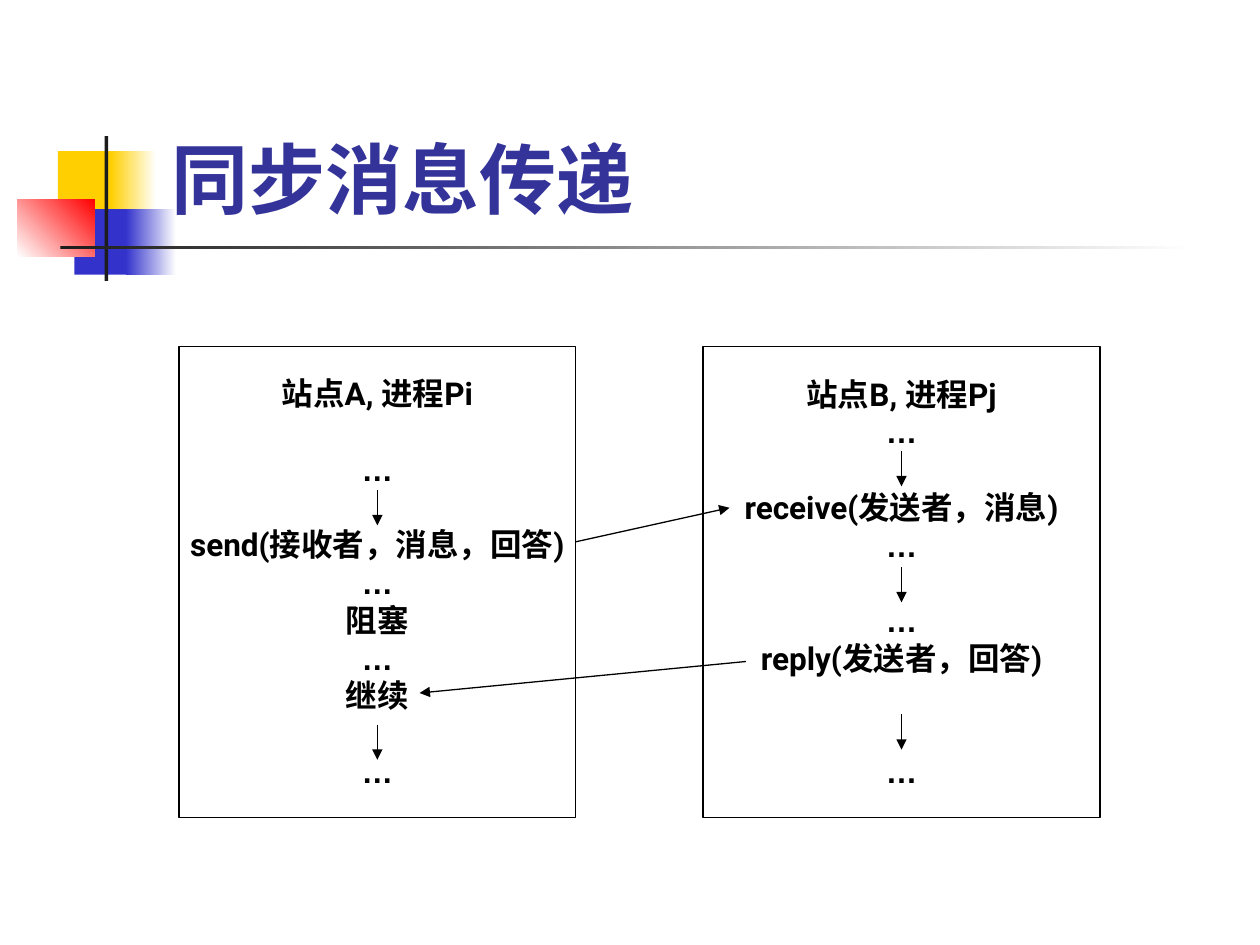
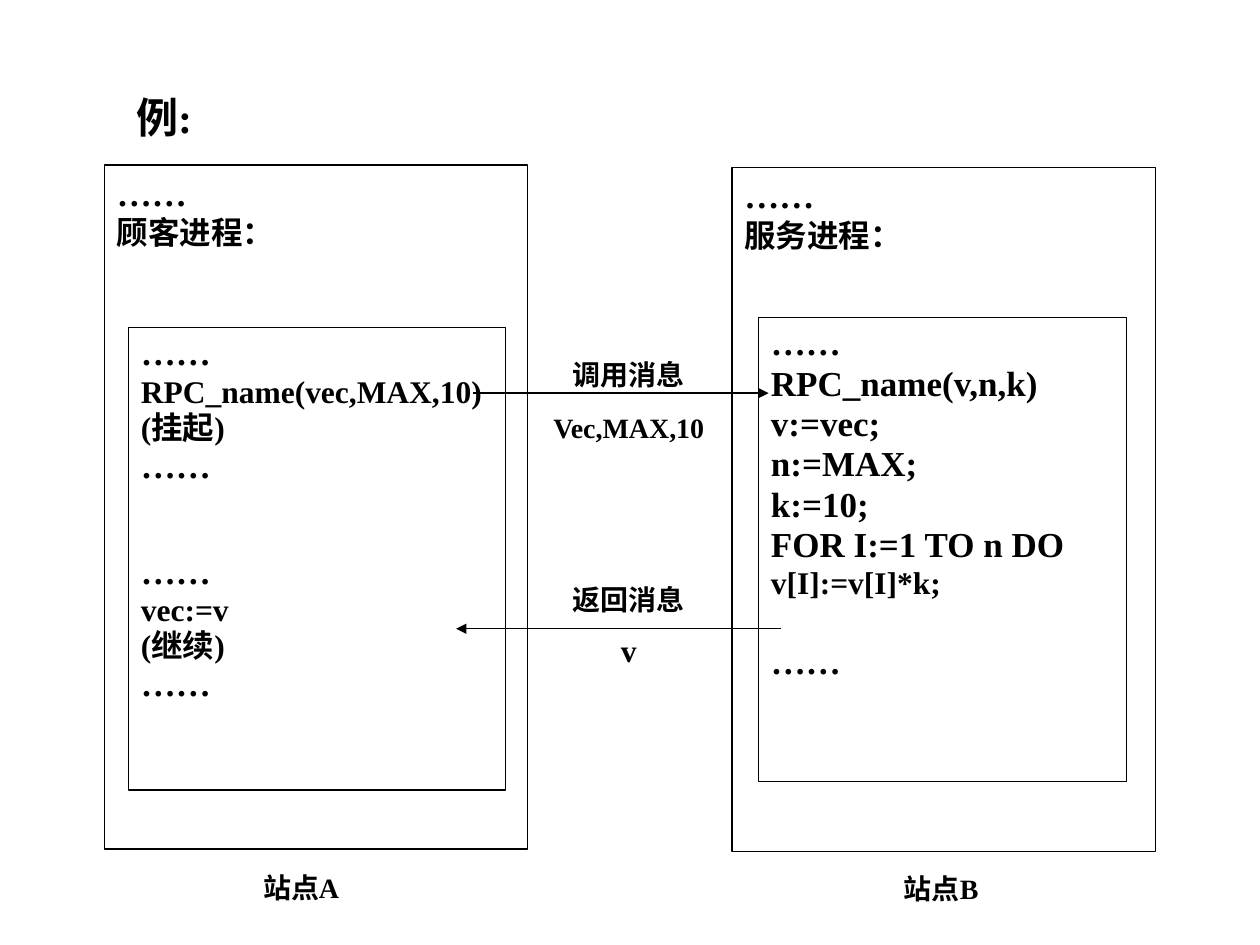
from dataclasses import dataclass

from lxml.etree import SubElement
from pptx import Presentation
from pptx.dml.color import RGBColor as Rgb
from pptx.enum.lang import MSO_LANGUAGE_ID as Lang
from pptx.enum.shapes import MSO_CONNECTOR as Line, MSO_SHAPE as Preset
from pptx.enum.text import MSO_ANCHOR as Anchor, MSO_AUTO_SIZE as AutoSize, PP_ALIGN as Align
from pptx.oxml.ns import qn
from pptx.util import Inches, Pt


@dataclass(frozen=True)
class Theme:
    ink: str = "000000"
    title: str = "333399"
    yellow: str = "FFCF01"
    blue: str = "3333CC"
    red: str = "FF0000"
    rule: str = "1C1C1C"
    white: str = "FFFFFF"
    sans: str = "Roboto"
    dots: str = "Arial"
    serif: str = "Times New Roman"
    title_size: int = 44
    heading_size: int = 24
    code_size: int = 20
    body_size: int = 18
    label_size: int = 16
    line: float = 0.75


T = Theme()
BODY, CODE = T.body_size, T.code_size
WIDTH, HEIGHT = 10, 7.5
GAP = 21.5          # one skipped line of body text, in points
BOX_INSETS = (0.1, 0.05)
LABEL_INSETS = (0.02, 0.01)

# ---- Content: slide 1, lines as (text, skipped lines before) ----
PASSING_TITLE = "同步消息传递"
PASSING_SITES = [
    [("站点A, 进程Pi", 0), ("…", 1), ("send(接收者，消息，回答)", 1), ("…", 0),
     ("阻塞", 0), ("…", 0), ("继续", 0), ("…", 1)],
    [("站点B, 进程Pj", 0), ("…", 0), ("receive(发送者，消息)", 1), ("…", 0),
     ("…", 1), ("reply(发送者，回答)", 0), ("…", 2)],
]
STEP_TOPS = [(3.89, 5.75), (3.58, 4.5, 5.67)]     # downward arrows per site
STEP_LENGTH = 0.28
PASSING_MESSAGES = [((4.57, 4.3), (5.79, 4.03)), ((5.92, 5.25), (3.33, 5.5))]

# Corner ornament: left, top, width, height, colours (two make a gradient), angle
ORNAMENT = [
    (0.46, 1.2, 0.48, 0.52, (T.yellow,), 0),
    (0.88, 1.2, 0.36, 0.52, (T.yellow, T.white), 0),
    (0.59, 1.66, 0.46, 0.52, (T.blue,), 0),
    (1, 1.66, 0.4, 0.52, (T.blue, T.white), 0),
    (0.14, 1.58, 0.61, 0.46, (T.white, T.red), 45),
    (0.83, 1.08, 0.03, 1.15, (T.rule,), 0),
    (0.48, 1.95, 9, 0.03, (T.rule, T.white), 0),
]

# ---- Content: slide 2, lines as (text, size, points before) ----
EXAMPLE_TITLE = "例:"
EXAMPLE_SITES = [
    dict(name="站点A", name_at=(1.77, 6.9), frame=(0.83, 1.31, 3.36, 5.43),
         process="顾客进程：", code_frame=(1.02, 2.6, 2.99, 3.67),
         code=[("……", CODE, 0), ("RPC_name(vec,MAX,10)", BODY, 0),
               ("(挂起)", BODY, 0), ("……", CODE, 0), ("……", CODE, 37),
               ("vec:=v", BODY, 0), ("(继续)", BODY, 0), ("……", CODE, 0)]),
    dict(name="站点B", name_at=(6.85, 6.91), frame=(5.81, 1.33, 3.36, 5.43),
         process="服务进程：", code_frame=(6.02, 2.52, 2.92, 3.68),
         code=[("……", CODE, 0), ("RPC_name(v,n,k)", CODE, 0), ("v:=vec;", CODE, 0),
               ("n:=MAX;", CODE, 0), ("k:=10;", CODE, 0),
               ("FOR I:=1 TO n DO", CODE, 0), ("v[I]:=v[I]*k;", BODY, 0),
               ("……", CODE, 23)]),
]
# Message labels: text, top, width, height, size
MESSAGE_CENTER = 4.99
MESSAGE_LABELS = [
    ("调用消息", 2.83, 1.24, 0.42, T.label_size),
    ("Vec,MAX,10", 3.25, 1.39, 0.42, T.label_size),
    ("返回消息", 4.61, 1.24, 0.48, T.label_size),
    ("v", 5, 1.24, 0.44, BODY),
]
EXAMPLE_MESSAGES = [((3.75, 3.12), (6.1, 3.12)), ((6.2, 4.99), (3.62, 4.99))]


# ---- Shared parts ----
def inches(values):
    return [Inches(value) for value in values]


def set_frame(shape, anchor=Anchor.TOP, insets=BOX_INSETS, wrap=True):
    frame = shape.text_frame
    frame.word_wrap, frame.vertical_anchor = wrap, anchor
    frame.auto_size = AutoSize.NONE
    frame.margin_left = frame.margin_right = Inches(insets[0])
    frame.margin_top = frame.margin_bottom = Inches(insets[1])
    return frame


def write(frame, lines, font, align, color=T.ink, spacing=None):
    """Fill a frame with (text, size, points before) lines."""
    for index, (text, size, before) in enumerate(lines):
        para = frame.add_paragraph() if index else frame.paragraphs[0]
        para.alignment = align
        if before:
            para.space_before = Pt(before)
        if spacing:
            para.line_spacing = spacing
        run = para.add_run()
        run.text = text
        run.font.name = T.dots if text == "…" else font
        run.font.size, run.font.bold = Pt(size), True
        run.font.color.rgb = Rgb.from_string(color)
        run.font.language_id = Lang.SIMPLIFIED_CHINESE


def add_title(slide, text, place, size, font, color, anchor):
    title = slide.shapes.title
    title.left, title.top, title.width, title.height = inches(place)
    write(set_frame(title, anchor), [(text, size, 0)], font, Align.LEFT, color)
    title.element.getparent().append(title.element)


def add_box(slide, place):
    box = slide.shapes.add_shape(Preset.RECTANGLE, *inches(place))
    box.shadow.inherit = False
    box.fill.background()
    box.line.color.rgb = Rgb.from_string(T.ink)
    box.line.width = Pt(T.line)
    return box


def add_label(slide, text, place, size):
    label = slide.shapes.add_textbox(*inches(place))
    write(set_frame(label, insets=LABEL_INSETS), [(text, size, 0)], T.serif, Align.CENTER)


def add_arrow(slide, start, end):
    arrow = slide.shapes.add_connector(Line.STRAIGHT, *inches(start + end))
    arrow.line.color.rgb = Rgb.from_string(T.ink)
    arrow.line.width = Pt(T.line)
    SubElement(arrow.line._get_or_add_ln(), qn("a:tailEnd"), type="triangle")
    SubElement(arrow.element.spPr, qn("a:effectLst"))


def add_ornament(slide):
    for *place, colors, angle in ORNAMENT:
        block = slide.shapes.add_shape(Preset.RECTANGLE, *inches(place))
        block.shadow.inherit = False
        block.line.fill.background()
        if len(colors) == 1:
            block.fill.solid()
            block.fill.fore_color.rgb = Rgb.from_string(colors[0])
            continue
        block.fill.gradient()
        block.fill.gradient_angle = angle
        for stop, color in zip(block.fill.gradient_stops, colors):
            stop.color.rgb = Rgb.from_string(color)


# ---- Slides ----
def build_passing(slide):
    add_ornament(slide)
    add_title(slide, PASSING_TITLE, (1.26, 0.23, 8.52, 1.6), T.title_size, T.sans,
              T.title, Anchor.BOTTOM)
    left, pitch, width = 1.42, 4.16, 3.15
    for column, (lines, tops) in enumerate(zip(PASSING_SITES, STEP_TOPS)):
        x = left + column * pitch
        box = add_box(slide, (x, 2.75, width, 3.74))
        write(set_frame(box, Anchor.MIDDLE, wrap=False),
              [(text, BODY, skipped * GAP) for text, skipped in lines],
              T.sans, Align.CENTER)
        middle = x + width / 2
        for top in tops:
            add_arrow(slide, (middle, top), (middle, top + STEP_LENGTH))
    for start, end in PASSING_MESSAGES:
        add_arrow(slide, start, end)


def build_example(slide):
    add_title(slide, EXAMPLE_TITLE, (0.98, 0.68, 1.83, 0.5), T.heading_size, T.serif,
              T.ink, Anchor.TOP)
    for site in EXAMPLE_SITES:
        process = [("……", CODE, 0), (site["process"], BODY, 0)]
        write(set_frame(add_box(slide, site["frame"])), process, T.serif, Align.JUSTIFY)
        write(set_frame(add_box(slide, site["code_frame"])), site["code"], T.serif,
              Align.JUSTIFY, spacing=0.96)
        add_label(slide, site["name"], site["name_at"] + (1.24, 0.56), T.label_size)
    for text, top, width, height, size in MESSAGE_LABELS:
        add_label(slide, text, (MESSAGE_CENTER - width / 2, top, width, height), size)
    for start, end in EXAMPLE_MESSAGES:
        add_arrow(slide, start, end)


def main():
    deck = Presentation()
    deck.slide_width, deck.slide_height = Inches(WIDTH), Inches(HEIGHT)
    title_only = deck.slide_layouts[5]
    for build in (build_passing, build_example):
        build(deck.slides.add_slide(title_only))
    deck.save("out.pptx")


if __name__ == "__main__":
    main()
